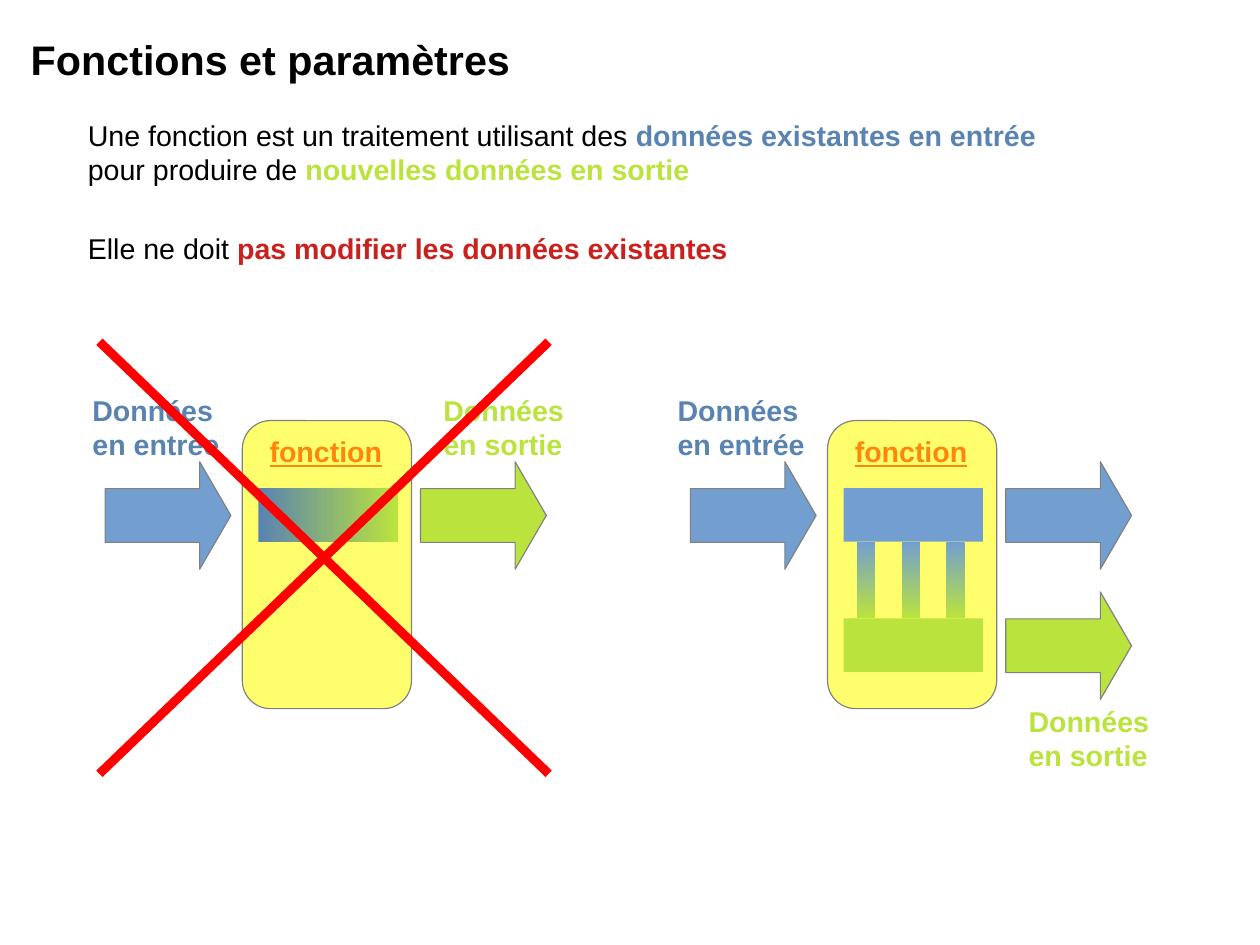
import pptx
import pptx.dml.color
import pptx.enum.shapes
import pptx.enum.text
import pptx.oxml
import pptx.util

Inches = pptx.util.Inches
RGBColor = pptx.dml.color.RGBColor
Shape = pptx.enum.shapes.MSO_SHAPE

BLACK = RGBColor(0x00, 0x00, 0x00)
GREY = RGBColor(0x80, 0x80, 0x80)
BLUE = RGBColor(0x72, 0x9F, 0xCF)
DARK_BLUE = RGBColor(0x59, 0x83, 0xB0)
GREEN = RGBColor(0xBB, 0xE3, 0x3D)
YELLOW = RGBColor(0xFF, 0xFF, 0x6D)
ORANGE = RGBColor(0xFF, 0x86, 0x0D)
DARK_RED = RGBColor(0xC9, 0x21, 0x1E)
RED = RGBColor(0xFF, 0x00, 0x00)

CM_PER_INCH = 2.54
DIAGRAM_STEP = 5.12
OUTPUT_DROP = 1.14
INPUT_LABEL = "Données\nen entrée"
OUTPUT_LABEL = "Données\nen sortie"


def add_text(slide, box, *spans, size=18, underline=False, wrap=False):
    """Add a text box made of (text, colour, bold) spans."""
    frame = slide.shapes.add_textbox(*map(Inches, box)).text_frame
    frame.word_wrap = wrap
    frame.auto_size = pptx.enum.text.MSO_AUTO_SIZE.SHAPE_TO_FIT_TEXT
    paragraph = frame.paragraphs[0]
    for text, colour, bold in spans:
        for number, line in enumerate(text.split("\n")):
            if number:
                paragraph.add_line_break()
            if not line:
                continue
            run = paragraph.add_run()
            run.text = line
            run.font.name = "Arial"
            run.font.size = pptx.util.Pt(size)
            run.font.bold = bold
            run.font.underline = underline
            run.font.color.rgb = colour


def add_block(slide, kind, box, *colours, angle=0, outlined=False):
    """Add a shape filled with one colour or a two-colour gradient."""
    block = slide.shapes.add_shape(kind, *map(Inches, box))
    block.shadow.inherit = False
    if len(colours) == 1:
        block.fill.solid()
        block.fill.fore_color.rgb = colours[0]
    else:
        block.fill.gradient()
        block.fill.gradient_angle = angle
        for stop, colour in zip(block.fill.gradient_stops, colours):
            stop.color.rgb = colour
    if outlined:
        block.line.color.rgb = GREY
        block.line.width = Inches(0)
    else:
        block.line.fill.background()
    return block


def add_arrow(slide, left, top, colour):
    """Add a data arrow pointing right."""
    arrow = add_block(slide, Shape.RIGHT_ARROW, (left, top, 1.1, 0.94),
                      colour, outlined=True)
    arrow.adjustments[1] = 0.29


def add_data_bar(slide, left, top, *colours):
    """Add a bar of data inside a function."""
    add_block(slide, Shape.RECTANGLE, (left + 2.26, top, 1.22, 0.47), *colours)


def add_label(slide, left, top, text, colour):
    """Add a bold two-line data label."""
    add_text(slide, (left, top, 1.39, 0.66), (text, colour, True), wrap=True)


def add_function(slide, left):
    """Add a function box with its input arrow and label."""
    add_block(slide, Shape.ROUNDED_RECTANGLE, (left + 2.12, 3.68, 1.48, 2.52),
              YELLOW, outlined=True)
    add_text(slide, (left + 2.26, 3.75, 1.19, 0.38),
             ("fonction", ORANGE, True), underline=True)
    add_arrow(slide, left + 0.92, 4.04, BLUE)
    add_label(slide, left + 0.71, 3.39, INPUT_LABEL, DARK_BLUE)


def add_modifying_function(slide, left):
    """Add the function that alters its input data."""
    add_function(slide, left)
    add_data_bar(slide, left, 4.27, DARK_BLUE, GREEN)
    add_arrow(slide, left + 3.68, 4.04, GREEN)
    add_label(slide, left + 3.78, 3.39, OUTPUT_LABEL, GREEN)


def add_producing_function(slide, left):
    """Add the function that keeps its input and produces new data."""
    add_function(slide, left)
    for level, colour in enumerate((BLUE, GREEN)):
        drop = level * OUTPUT_DROP
        add_data_bar(slide, left, 4.27 + drop, colour)
        add_arrow(slide, left + 3.68, 4.04 + drop, colour)
    for column in range(3):
        add_block(slide, Shape.RECTANGLE,
                  (left + 2.38 + column * 0.39, 4.74, 0.16, 0.67),
                  BLUE, GREEN, angle=270)
    add_label(slide, left + 3.78, 6.11, OUTPUT_LABEL, GREEN)


def add_cross(slide, left, top, right, bottom):
    """Strike out an area with two red diagonals."""
    for start, end in ((top, bottom), (bottom, top)):
        stroke = slide.shapes.add_connector(
            pptx.enum.shapes.MSO_CONNECTOR.STRAIGHT,
            *map(Inches, (left, start, right, end)))
        stroke.line.color.rgb = RED
        stroke.line.width = pptx.util.Pt(5.67)
        properties = stroke.element.spPr
        properties.append(pptx.oxml.parse_xml(
            '<a:effectLst xmlns:a='
            '"http://schemas.openxmlformats.org/drawingml/2006/main"/>'))


def main():
    """Build and save the slide."""
    deck = pptx.Presentation()
    deck.slide_width = Inches(28 / CM_PER_INCH)
    deck.slide_height = Inches(21 / CM_PER_INCH)
    slide = deck.slides.add_slide(deck.slide_layouts[6])
    add_text(slide, (0.17, 0.25, 5.59, 0.51),
             ("Fonctions et paramètres", BLACK, True), size=26)
    add_text(slide, (0.67, 0.98, 8.6, 0.66),
             ("Une fonction est un traitement utilisant des ", BLACK, False),
             ("données existantes en entrée\n", DARK_BLUE, True),
             ("pour produire de ", BLACK, False),
             ("nouvelles données en sortie", GREEN, True))
    add_text(slide, (0.67, 1.97, 5.8, 0.38),
             ("Elle ne doit ", BLACK, False),
             ("pas modifier les données existantes", DARK_RED, True))
    add_modifying_function(slide, 0)
    add_producing_function(slide, DIAGRAM_STEP)
    add_cross(slide, 0.87, 2.99, 4.8, 6.77)
    deck.save("out.pptx")


if __name__ == "__main__":
    main()
